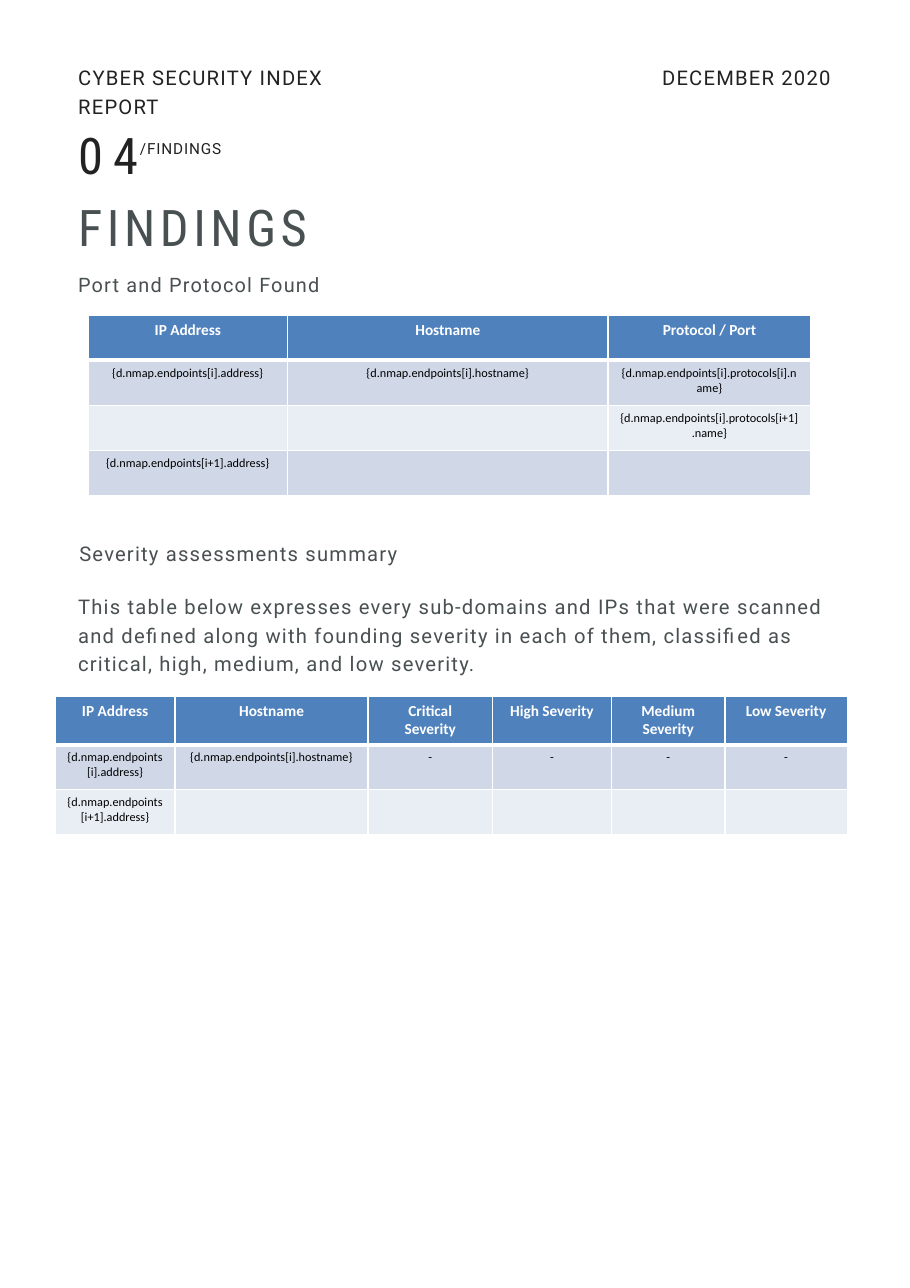
import dataclasses

import lxml.etree
import pptx
import pptx.dml.color
import pptx.enum.text
import pptx.oxml.ns
import pptx.util

PX = 9144  # EMU per px, 100 px to the inch
ALIGN = pptx.enum.text.PP_ALIGN
Pt = pptx.util.Pt


@dataclasses.dataclass(frozen=True)
class Theme:
    ink: str = "222222"
    gray: str = "495052"
    white: str = "FFFFFF"
    black: str = "000000"
    blue: str = "4F81BD"
    bands: tuple = ("D0D8E8", "E9EDF4")
    wide: str = "Roboto"
    slim: str = "Roboto Condensed"
    cell: str = "Calibri"
    big: float = 33
    body: float = 13.2
    sub: float = 13
    small: float = 10
    tiny: float = 8


T = Theme()


def color(code):
    return pptx.dml.color.RGBColor.from_string(code)


def write(frame, text, size=T.body, font=T.wide, ink=T.gray, bold=False,
          align=ALIGN.LEFT, lead=None, track=0):
    """Fill a text frame; each line of text is a paragraph."""
    for i, line in enumerate(text.split("\n")):
        para = frame.add_paragraph() if i else frame.paragraphs[0]
        para.alignment = align
        if lead:
            para.line_spacing = Pt(lead)
        run = para.add_run()
        run.text = line
        run.font.size = Pt(size)
        run.font.name = font
        run.font.bold = bold
        run.font.color.rgb = color(ink)
        if track:
            run.font._element.set("spc", str(round(track * 100)))


def place(shape, box):
    shape.left, shape.top, shape.width, shape.height = (n * PX for n in box)


def setup(frame):
    frame.margin_left = frame.margin_right = 0
    frame.margin_top = frame.margin_bottom = 0
    frame.word_wrap = True
    frame.auto_size = pptx.enum.text.MSO_AUTO_SIZE.NONE
    frame.vertical_anchor = pptx.enum.text.MSO_ANCHOR.TOP


def label(slide, box, text, lead=18.5, track=0.8, **style):
    shape = slide.shapes.add_textbox(*(n * PX for n in box))
    setup(shape.text_frame)
    write(shape.text_frame, text, lead=lead, track=track, **style)


def edge(cell, side, width):
    props = cell._tc.get_or_add_tcPr()
    qn = pptx.oxml.ns.qn
    line = lxml.etree.SubElement(props, qn("a:ln" + side), w=str(Pt(width)))
    fill = lxml.etree.SubElement(line, qn("a:solidFill"))
    lxml.etree.SubElement(fill, qn("a:srgbClr"), val=T.white)


def grid(slide, box, cols, rows):
    """Draw a table with a blue head and banded rows."""
    left, top, high = box
    frame = slide.shapes.add_table(len(rows), len(cols), left * PX, top * PX,
                                   sum(cols) * PX, high * len(rows) * PX)
    table = frame.table
    for col, width in zip(table.columns, cols):
        col.width = width * PX
    for r, row in enumerate(rows):
        table.rows[r].height = high * PX
        head = r == 0
        style = (dict(size=T.small, ink=T.white, bold=True) if head
                 else dict(size=T.tiny, ink=T.black))
        for c in range(len(cols)):
            cell = table.cell(r, c)
            widths = dict(L=1, R=1, T=3 if r == 1 else 1, B=3 if head else 1)
            for side, width in widths.items():
                edge(cell, side, width)
            cell.fill.solid()
            cell.fill.fore_color.rgb = color(
                T.blue if head else T.bands[(r - 1) % 2])
            if c < len(row) and row[c]:
                write(cell.text_frame, row[c], font=T.cell,
                      align=ALIGN.CENTER, **style)


def header(slide, box):
    """Report name, date and section number."""
    x, y, w = box
    label(slide, (x + w - 263, y, 263, 24), "DECEMBER 2020",
          ink=T.ink, align=ALIGN.RIGHT)
    label(slide, (x, y, 298, 24), "CYBER SECURITY INDEX REPORT", ink=T.ink)
    label(slide, (x, y + 47, 238, 56), "04", size=T.big, font=T.slim,
          ink=T.ink, lead=46.3, track=6.6)
    label(slide, (x + 56, y + 68, 125, 18), "/FINDINGS", size=T.small,
          ink=T.ink, lead=14, track=0.6)


def ports(slide, box):
    """Title and table of ports found."""
    x, y, w = box
    title = slide.shapes.title
    place(title, (x, y, w, 56))
    setup(title.text_frame)
    write(title.text_frame, "FINDINGS", size=T.big, font=T.slim,
          lead=38, track=3)
    label(slide, (x, y + 63, w, 25), "Port and Protocol Found", size=T.sub)
    grid(slide, (x + 9, y + 106, 41), (181, 291, 184), (
        ("IP Address", "Hostname", "Protocol / Port"),
        ("{d.nmap.endpoints[i].address}", "{d.nmap.endpoints[i].hostname}",
         "{d.nmap.endpoints[i].protocols[i].name}"),
        ("", "", "{d.nmap.endpoints[i].protocols[i+1].name}"),
        ("{d.nmap.endpoints[i+1].address}",),
    ))


def summary(slide, box):
    """Severity text and table."""
    x, y, w = box
    label(slide, (x + 1, y, 446, 24), "Severity assessments summary")
    label(slide, (x, y + 48, w, 78),
          "This table below expresses every sub-domains and IPs that were "
          "scanned and defined along with founding severity in each of them, "
          "classified as critical, high, medium, and low severity.")
    grid(slide, (x - 21, y + 144, 41), (109, 175, 113, 108, 103, 111), (
        ("IP Address", "Hostname", "Critical\nSeverity", "High Severity",
         "Medium Severity", "Low Severity"),
        ("{d.nmap.endpoints[i].address}", "{d.nmap.endpoints[i].hostname}",
         "-", "-", "-", "-"),
        ("{d.nmap.endpoints[i+1].address}",),
    ))


def main():
    deck = pptx.Presentation()
    deck.slide_width, deck.slide_height = 826 * PX, 1169 * PX
    slide = deck.slides.add_slide(deck.slide_layouts[5])
    header(slide, (71, 56, 683))
    ports(slide, (71, 180, 446))
    summary(slide, (71, 488, 683))
    deck.save("out.pptx")


if __name__ == "__main__":
    main()
